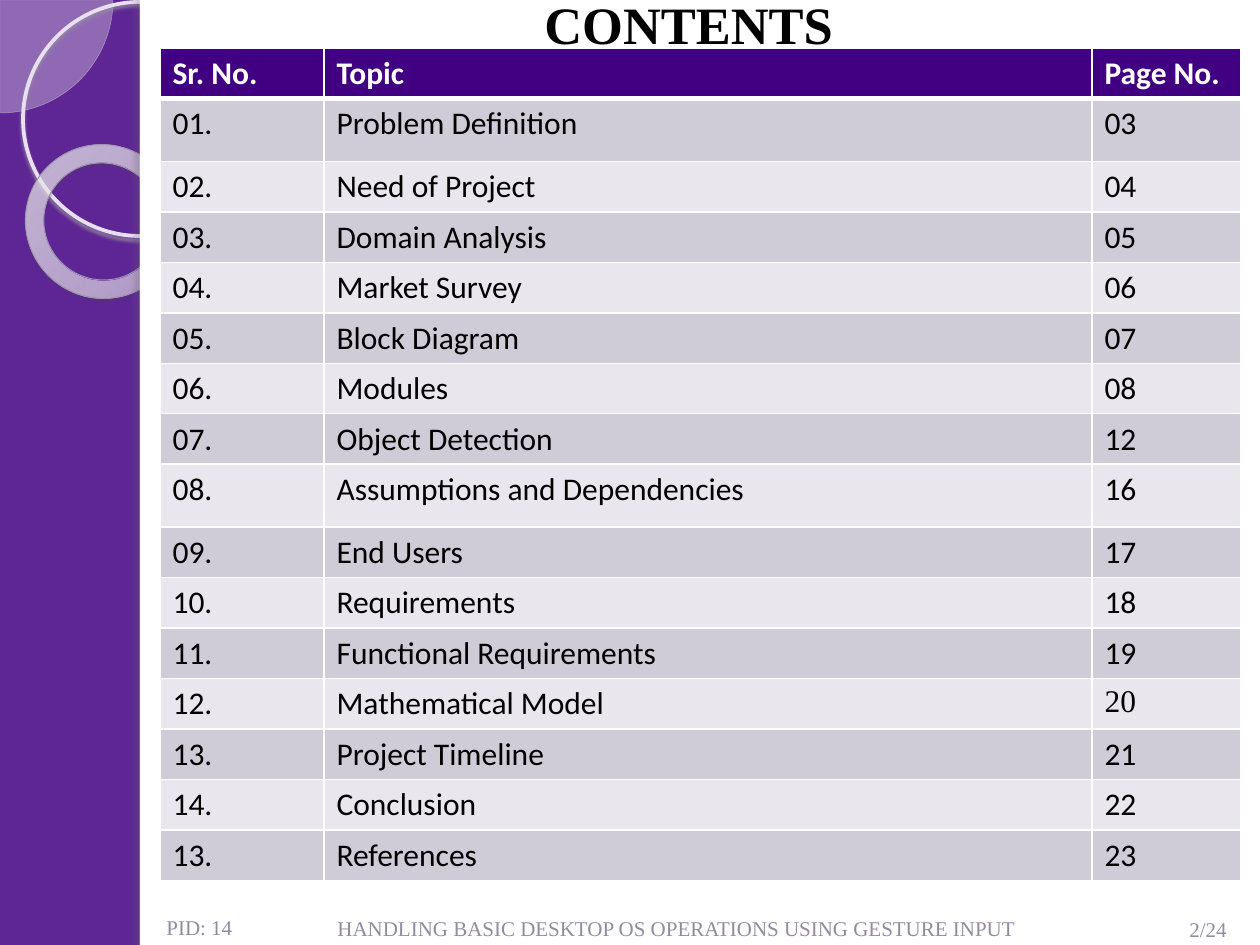
from lxml.etree import SubElement
from pptx import Presentation
from pptx.dml.color import RGBColor
from pptx.enum.shapes import MSO_SHAPE as Preset
from pptx.enum.text import MSO_ANCHOR as Anchor, PP_ALIGN as Align
from pptx.oxml.ns import qn
from pptx.util import Emu, Pt

SCALE = 914400 / 126
SERIF, SANS = "Times New Roman", "Calibri"
COLORS = {
    "sidebar": "5E2695", "header": "410082", "odd": "CFCCD8", "even": "E9E7ED",
    "white": "FFFFFF", "black": "000000", "footer": "948AA0",
    "pie": "F6F4F9", "pie_line": "ACA0B9", "ring": "E8E0F2", "ring_shadow": "958D9D",
    "donut_line": "A094AF", "donut_shadow": "4A4550", "strip_shadow": "646068",
}
HEADER = ("Sr. No.", "Topic", "Page No.")
TOPICS = [
    ("01.", "Problem Definition", "03"),
    ("02.", "Need of Project", "04"),
    ("03.", "Domain Analysis", "05"),
    ("04.", "Market Survey", "06"),
    ("05.", "Block Diagram", "07"),
    ("06.", "Modules", "08"),
    ("07.", "Object Detection", "12"),
    ("08.", "Assumptions and Dependencies", "16"),
    ("09.", "End Users", "17"),
    ("10.", "Requirements", "18"),
    ("11.", "Functional Requirements", "19"),
    ("12.", "Mathematical Model", "20"),
    ("13.", "Project Timeline", "21"),
    ("14.", "Conclusion", "22"),
    ("13.", "References", "23"),
]
COLUMN_WIDTHS = (164, 768, 149)
ROW_HEIGHT, TALL_HEIGHT = 50, 63
TALL_ROWS = (1, 8)
SERIF_CELL = (12, 2)
TABLE_LEFT, TABLE_TOP = 160, 48

DECORATIONS = [
    {"preset": Preset.PIE, "box": (-113, -113, 226, 226), "adjust": (0, 54),
     "fill": ("pie", 33), "line": ("pie_line", 0.25)},
    {"preset": Preset.OVAL, "box": (23, 2, 234, 234), "line": ("ring", 2.15),
     "shadow": ("ring_shadow", 85, 2, 2, 90)},
    {"preset": Preset.DONUT, "box": (25, 145, 155, 153), "adjust": (0.12,), "rotation": 38.6,
     "gradient": [(0, "F9F7FB", 70), (70, "FCFBFE", 55), (100, "B099CA", 60)],
     "center": {"l": -408, "t": -50, "r": 508, "b": 150},
     "line": ("donut_line", 0.58), "shadow": ("donut_shadow", 35, 1, 1.2, 75)},
    {"preset": Preset.RECTANGLE, "box": (140, 0, 1120, 945), "fill": ("white", 100)},
    {"preset": Preset.RECTANGLE, "box": (140, 0, 10, 945), "fill": ("white", 100),
     "shadow": ("strip_shadow", 25, 3, 3, 180)},
]
TITLE = ("CONTENTS", (532, -14, 316, 77),
         {"size": Pt(30), "bold": True}, "black", {"word_wrap": False}, Align.LEFT)
FOOTER_FONT = {"size": Pt(12)}
BOTTOM = {"word_wrap": True, "vertical_anchor": Anchor.BOTTOM}
FOOTERS = [
    ("PID: 14", (154, 908, 110, 38), FOOTER_FONT, "footer", {"word_wrap": True}, Align.LEFT),
    ("2/24", (1131, 908, 108, 40), FOOTER_FONT, "footer", BOTTOM, Align.RIGHT),
    ("HANDLING BASIC DESKTOP OS OPERATIONS USING GESTURE INPUT", (325, 908, 738, 39),
     FOOTER_FONT, "footer", BOTTOM, Align.LEFT),
]


def px(value):
    return Emu(round(value * SCALE))


def rgb(name):
    return RGBColor.from_string(COLORS[name])


def assign(target, values):
    for name, value in values.items():
        setattr(target, name, value)


def add_element(parent, tag, **attributes):
    return SubElement(parent, qn(tag), {key: str(value) for key, value in attributes.items()})


def add_color(parent, color, alpha=100):
    element = add_element(parent, "a:srgbClr", val=color)
    if alpha < 100:
        add_element(element, "a:alpha", val=alpha * 1000)


def set_gradient(shape, stops, center):
    properties = shape.element.spPr
    gradient = add_element(properties, "a:gradFill", rotWithShape=1)
    stop_list = add_element(gradient, "a:gsLst")
    for position, color, alpha in stops:
        add_color(add_element(stop_list, "a:gs", pos=position * 1000), color, alpha)
    circle = add_element(gradient, "a:path", path="circle")
    add_element(circle, "a:fillToRect", **{side: value * 1000 for side, value in center.items()})
    properties.replace(properties.find(qn("a:noFill")), gradient)


def set_shadow(shape, color, alpha, blur, distance, angle):
    effects = shape.element.spPr.find(qn("a:effectLst"))
    shadow = add_element(effects, "a:outerShdw", blurRad=Pt(blur), dist=Pt(distance),
                         dir=angle * 60000, algn="ctr", rotWithShape=0)
    add_color(shadow, COLORS[color], alpha)


def add_decoration(slide, preset, box, adjust=(), rotation=0, fill=None, gradient=None,
                   center=None, line=None, shadow=None):
    shape = slide.shapes.add_shape(preset, *map(px, box))
    shape.rotation = rotation
    for index, value in enumerate(adjust):
        shape.adjustments[index] = value
    shape.fill.background()
    if gradient:
        set_gradient(shape, gradient, center)
    if fill:
        name, alpha = fill
        shape.fill.solid()
        shape.fill.fore_color.rgb = rgb(name)
        color = shape.element.spPr.find(qn("a:solidFill"))[0]
        add_element(color, "a:alpha", val=alpha * 1000)
    if line:
        name, width = line
        shape.line.color.rgb = rgb(name)
        shape.line.width = Pt(width)
    else:
        shape.line.fill.background()
    shape.shadow.inherit = False
    if shadow:
        set_shadow(shape, *shadow)


def write(paragraph, text, color, **font):
    run = paragraph.add_run()
    run.text = text
    assign(run.font, {"name": SERIF, **font})
    run.font.color.rgb = rgb(color)


def add_label(slide, text, box, font, color, frame_format, alignment):
    frame = slide.shapes.add_textbox(*map(px, box)).text_frame
    assign(frame, frame_format)
    paragraph = frame.paragraphs[0]
    paragraph.alignment = alignment
    write(paragraph, text, color, **font)


def set_borders(cell, is_header):
    properties = cell._tc.get_or_add_tcPr()
    for side in "LRTB":
        width = 3 if is_header and side == "B" else 1
        border = add_element(properties, f"a:ln{side}", w=Pt(width))
        add_color(add_element(border, "a:solidFill"), COLORS["white"])


def add_contents_table(slide):
    rows = [HEADER, *TOPICS]
    heights = [TALL_HEIGHT if index in TALL_ROWS else ROW_HEIGHT for index in range(len(rows))]
    table = slide.shapes.add_table(
        len(rows), len(HEADER), px(TABLE_LEFT), px(TABLE_TOP),
        px(sum(COLUMN_WIDTHS)), px(sum(heights))).table
    for column, width in zip(table.columns, COLUMN_WIDTHS):
        column.width = px(width)
    for row_index, (values, height) in enumerate(zip(rows, heights)):
        table.rows[row_index].height = px(height)
        is_header = row_index == 0
        fill = "header" if is_header else ("even", "odd")[row_index % 2]
        for column_index, text in enumerate(values):
            cell = table.cell(row_index, column_index)
            set_borders(cell, is_header)
            cell.fill.solid()
            cell.fill.fore_color.rgb = rgb(fill)
            write(cell.text_frame.paragraphs[0], text, "white" if is_header else "black",
                  name=SERIF if (row_index, column_index) == SERIF_CELL else SANS,
                  size=Pt(18), bold=is_header)


def main():
    presentation = Presentation()
    assign(presentation, {"slide_width": px(1260), "slide_height": px(945)})
    slide = presentation.slides.add_slide(presentation.slide_layouts[6])
    slide.background.fill.solid()
    slide.background.fill.fore_color.rgb = rgb("sidebar")
    for decoration in DECORATIONS:
        add_decoration(slide, **decoration)
    add_label(slide, *TITLE)
    add_contents_table(slide)
    for footer in FOOTERS:
        add_label(slide, *footer)
    presentation.save("out.pptx")


if __name__ == "__main__":
    main()
